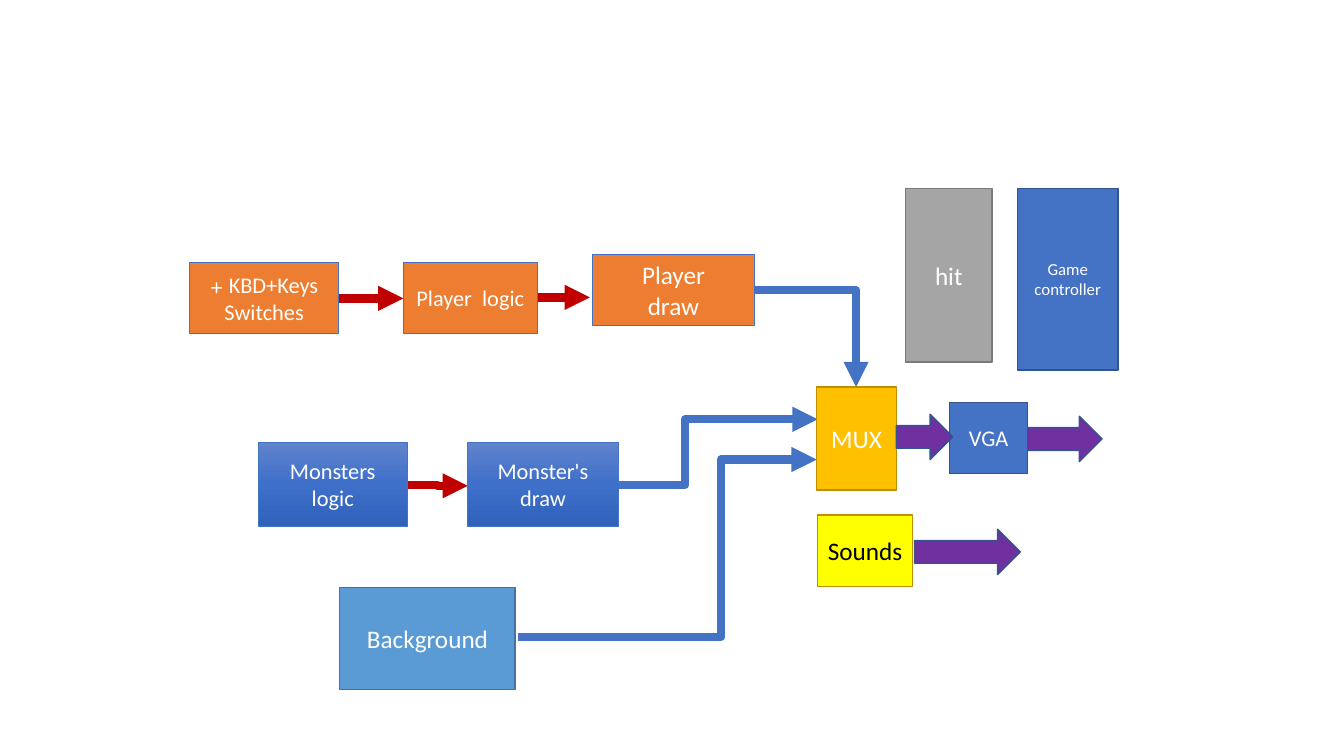
from copy import deepcopy
from dataclasses import dataclass
from typing import Optional

from pptx import Presentation
from pptx.dml.color import RGBColor
from pptx.enum.shapes import MSO_CONNECTOR, MSO_SHAPE
from pptx.enum.text import MSO_ANCHOR, PP_ALIGN
from pptx.oxml.ns import qn
from pptx.util import Inches, Pt

RECT, RIGHT_ARROW = MSO_SHAPE.RECTANGLE, MSO_SHAPE.RIGHT_ARROW
STRAIGHT, ELBOW = MSO_CONNECTOR.STRAIGHT, MSO_CONNECTOR.ELBOW
CENTER, MIDDLE = PP_ALIGN.CENTER, MSO_ANCHOR.MIDDLE

# Grid: 133.3 columns by 75 rows of square cells
COLS, ROWS = 133.3, 75
SLIDE_W, SLIDE_H = Inches(13.33), Inches(7.5)
FONT = "Calibri"
COLORS = {
    "white": "FFFFFF", "black": "000000", "blue": "4472C4", "navy": "325491",
    "orange": "ED7D31", "gold": "FFC000", "dark gold": "BD8E00",
    "gray": "A5A5A5", "dark gray": "7A7A7A", "sky": "5B9BD5",
    "dark sky": "43739E", "yellow": "FFFF00", "purple": "7030A0",
    "red": "C00000", "top": "6183CB", "middle": "3E70CA", "bottom": "3062BB",
}
MONSTER_GRADIENT = ("top", "middle", "bottom")


@dataclass
class Box:
    lines: tuple
    col: float
    row: float
    cols: float
    rows: float
    fill: Optional[str]  # None means the monster gradient
    line: str
    size: int = 16
    weight: float = 1
    color: str = "white"


@dataclass
class Link:
    start: tuple
    end: tuple
    color: str = "blue"
    bend: Optional[float] = None  # share of the width where the line turns
    corner: bool = False


@dataclass
class Output:
    col: float
    row: float
    cols: float
    rows: float = 4.5


LINKS = [
    # Player row
    Link((33.5, 29.6), (40, 29.6), "red"),
    Link((47.1, 29.5), (58.5, 29.5), "red"),
    Link((74.7, 28.8), (84.9, 38.4), corner=True),
    # Monster row
    Link((40.4, 48.1), (46.4, 48.2), "red", bend=0.5),
    Link((61.2, 48.1), (81.1, 41.6), bend=0.34),
    # Background
    Link((51.4, 63.2), (81, 45.6), bend=0.68),
]

BOXES = [
    Box(("KBD+Keys +", "Switches"), 18.8, 26, 14.8, 7.1, "orange", "blue", weight=0.5),
    Box(("Player  logic",), 40, 26, 13.3, 7.1, "orange", "blue", weight=0.5),
    Box(("Player", "draw"), 58.8, 25.2, 16, 7.1, "orange", "blue", 18, 0.5),
    Box(("Monsters logic",), 25.6, 43.9, 14.8, 8.3, None, "blue", weight=0.5),
    Box(("Monster's draw",), 46.4, 43.9, 14.9, 8.3, None, "blue", weight=0.5),
    Box(("Background",), 33.7, 58.3, 17.4, 10.1, "sky", "dark sky", 18),
    Box(("MUX",), 81, 38.4, 7.9, 10.2, "gold", "dark gold", 18),
    Box(("VGA",), 94.2, 39.9, 7.7, 7.1, "blue", "navy"),
    Box(("Sounds",), 81.1, 51.1, 9.4, 7.1, "yellow", "dark gold", 18, color="black"),
    Box(("hit",), 89.8, 18.7, 8.6, 17.2, "gray", "dark gray", 18),
    Box(("Game controller",), 100.9, 18.7, 10, 18, "blue", "navy", 12),
]

VGA_OUT = Output(97.9, 41.3, 11.4)
MUX_OUT = Output(88.9, 41.1, 5.6)
SOUND_OUT = Output(90.7, 52.5, 10.5)


def x(cols: float) -> int:
    return round(SLIDE_W * cols / COLS)


def y(rows: float) -> int:
    return round(SLIDE_H * rows / ROWS)


def rgb(name: str) -> RGBColor:
    return RGBColor.from_string(COLORS[name])


def add_block(s, kind, item, line: str, weight: float):
    sp = s.shapes.add_shape(kind, x(item.col), y(item.row), x(item.cols), y(item.rows))
    sp.shadow.inherit = False
    sp.line.color.rgb = rgb(line)
    sp.line.width = Pt(weight)
    return sp


def fill_gradient(sp, names: tuple) -> None:
    sp.fill.gradient()
    sp.fill.gradient_angle = 270
    stops = sp._element.spPr.find(qn("a:gradFill")).find(qn("a:gsLst"))
    stops.insert(1, deepcopy(stops[0]))
    for i, (stop, name) in enumerate(zip(sp.fill.gradient_stops, names)):
        stop.position = i / (len(names) - 1)
        stop.color.rgb = rgb(name)


def add_box(s, box: Box) -> None:
    sp = add_block(s, RECT, box, box.line, box.weight)
    if box.fill:
        sp.fill.solid()
        sp.fill.fore_color.rgb = rgb(box.fill)
    else:
        fill_gradient(sp, MONSTER_GRADIENT)
    tf = sp.text_frame
    tf.word_wrap = True
    tf.vertical_anchor = MIDDLE
    for i, text in enumerate(box.lines):
        p = tf.add_paragraph() if i else tf.paragraphs[0]
        p.alignment = CENTER
        p._p.get_or_add_pPr().set("rtl", "1")
        r = p.add_run()
        r.text = text
        r.font.name = FONT
        r.font.size = Pt(box.size)
        r.font.color.rgb = rgb(box.color)


def add_output(s, out: Output) -> None:
    sp = add_block(s, RIGHT_ARROW, out, "navy", 1)
    sp.fill.solid()
    sp.fill.fore_color.rgb = rgb("purple")


def add_link(s, link: Link) -> None:
    kind = ELBOW if link.corner or link.bend else STRAIGHT
    (x1, y1), (x2, y2) = link.start, link.end
    c = s.shapes.add_connector(kind, x(x1), y(y1), x(x2), y(y2))
    c.line.color.rgb = rgb(link.color)
    c.line.width = Pt(6)
    spPr = c._element.spPr
    geom = spPr.find(qn("a:prstGeom"))
    if link.corner:
        geom.set("prst", "bentConnector2")
    elif link.bend:
        guides = geom.find(qn("a:avLst"))
        guide = guides.makeelement(qn("a:gd"), {
            "name": "adj1", "fmla": f"val {round(link.bend * 100000)}"})
        guides.append(guide)
    ln = c.line._get_or_add_ln()
    ln.append(ln.makeelement(qn("a:tailEnd"), {"type": "triangle"}))
    spPr.append(spPr.makeelement(qn("a:effectLst"), {}))


prs = Presentation()
prs.slide_width, prs.slide_height = SLIDE_W, SLIDE_H
s = prs.slides.add_slide(prs.slide_layouts[6])

# Signal lines and the outputs that leave from behind their boxes
for link in LINKS:
    add_link(s, link)
for out in (VGA_OUT, SOUND_OUT):
    add_output(s, out)

# Blocks, then the arrow that overlaps the VGA block
for box in BOXES:
    add_box(s, box)
add_output(s, MUX_OUT)

prs.save("out.pptx")
